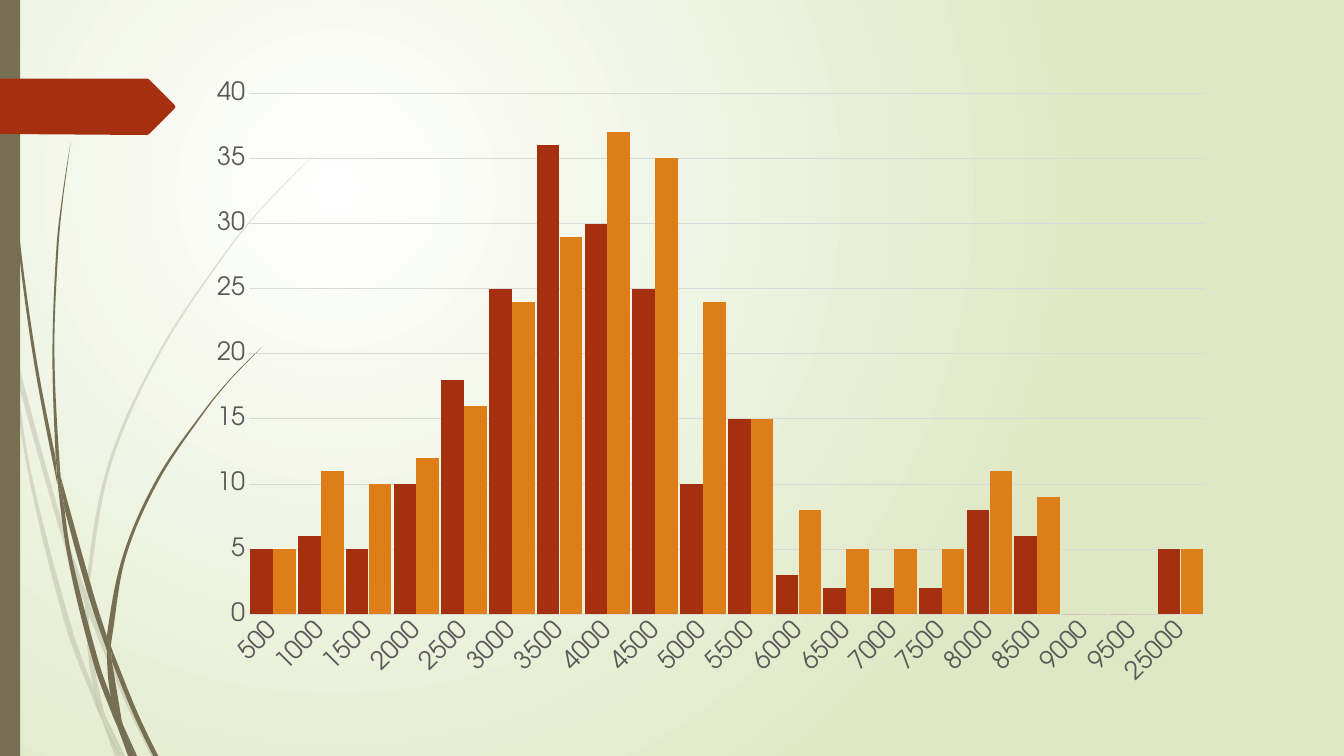
import math

import lxml.etree
import pptx
import pptx.chart.data
import pptx.dml.color
import pptx.enum.chart
import pptx.enum.shapes
import pptx.oxml.ns
import pptx.util

qn = pptx.oxml.ns.qn
rgb = pptx.dml.color.RGBColor.from_string
inches = pptx.util.Inches

THEME = {
    "centre": "FFFFFF",
    "edge": "DFE8C4",
    "stem": "766F54",
    "red": "A53010",
    "orange": "DE7E18",
    "grid": "D9D9D9",
    "label": "595959",
    "font": "TeX Gyre Adventor",
    "label_size": 18,
    "line_width": 0.75,
}
WIDTH, HEIGHT = 13.33, 7.5

# Each outline is a list of smooth edges; corners fall where one edge meets the next.
PALE_GRASS = [
    [[(0, 2.99), (0.1, 3.44), (0.11, 3.5)], [(0.09, 3.22), (0, 2.82)]],
    [[(0.17, 3.76), (0.58, 5.22), (0.84, 5.99)], [(0.85, 5.86), (0.62, 5.2), (0.14, 3.45)]],
    [[(0.88, 6.1), (1.23, 6.94), (1.5, HEIGHT)],
     [(1.55, HEIGHT), (1.27, 6.92), (0.92, 6.07), (0.88, 5.96)]],
    [[(1.05, 7.11), (1.19, HEIGHT)], [(1.24, HEIGHT)]],
    [[(0.11, 3.5), (0.28, 4.7), (0.65, 6.21), (0.92, 6.93), (1.01, 7.14)],
     [(0.93, 6.83), (0.7, 6.19), (0.31, 4.69), (0.17, 3.76)]],
    [[(0.84, 5.99), (0.87, 6.46), (0.93, 6.83), (1.05, 7.11)],
     [(1.03, 7.06), (0.91, 6.46), (0.88, 6.1)]],
    [[(3.12, 1.53), (2.68, 1.97), (2.28, 2.44), (1.58, 3.48), (1.07, 4.61), (0.85, 5.84)],
     [(0.88, 5.96), (0.88, 5.84), (1.1, 4.62), (1.6, 3.49), (2.29, 2.45), (2.68, 1.98)]],
    [[(1.01, 7.14), (1.14, HEIGHT)], [(1.19, HEIGHT)]],
    [[(0.85, 5.86), (0.84, 5.99)], [(0.88, 6.1), (0.88, 5.96)]],
    [[(0.93, 6.83), (1.01, 7.14), (1.19, HEIGHT)], [(1.05, 7.11), (0.96, 6.92)]],
]
DARK_GRASS = [
    [[(0.03, 0), (0.07, 1.1), (0.17, 2.33), (0.33, 3.55), (0.57, 4.81)],
     [(0.55, 4.53), (0.36, 3.55), (0.19, 2.32), (0.08, 1.09), (0.04, 0)]],
    [[(0.64, 5.05), (0.88, 5.92), (1.06, 6.45)], [(1.06, 6.31), (0.93, 5.9), (0.6, 4.72)]],
    [[(1.11, 6.56), (1.32, 7.08), (1.52, HEIGHT)],
     [(1.57, HEIGHT), (1.36, 7.06), (1.13, 6.49), (1.1, 6.41)]],
    [[(0.57, 4.77), (0.68, 5.57), (0.93, 6.59), (1.11, 7.08), (1.17, 7.22)],
     [(1.1, 6.91), (0.98, 6.57), (0.72, 5.56), (0.64, 5.05)]],
    [[(0.7, 1.41), (0.62, 1.93), (0.56, 2.45), (0.52, 3.49), (0.55, 4.49)],
     [(0.6, 4.72), (0.54, 3.49), (0.58, 2.45), (0.63, 1.93)]],
    [[(1.22, 7.19), (1.33, HEIGHT)], [(1.36, HEIGHT)]],
    [[(0.55, 4.49), (0.57, 4.77)], [(0.64, 5.05), (0.6, 4.72)]],
    [[(2.6, 3.44), (2.31, 3.73), (2.04, 4.05), (1.56, 4.74), (1.22, 5.51), (1.06, 6.31)],
     [(1.1, 6.41), (1.11, 6.33), (1.25, 5.52), (1.58, 4.76), (2.05, 4.06), (2.31, 3.74)]],
    [[(1.17, 7.22), (1.27, HEIGHT)], [(1.31, HEIGHT)]],
    [[(1.06, 6.45), (1.1, 6.91), (1.22, 7.19)], [(1.21, 7.16), (1.11, 6.56)]],
    [[(1.06, 6.31), (1.06, 6.45)], [(1.11, 6.56), (1.1, 6.41)]],
    [[(1.1, 6.91), (1.17, 7.22), (1.3, HEIGHT)], [(1.33, HEIGHT), (1.22, 7.19), (1.16, 7.06)]],
]
TAG = [[(0, 0.78)], [(1.46, 0.78)], [(1.48, 0.79)], [(1.73, 1.04), (1.74, 1.06), (1.73, 1.08)],
       [(1.48, 1.33)], [(1.46, 1.34)], [(0, 1.33)]]


def controls(edge):
    """Return two Bezier control points for each segment of a smooth edge."""
    lengths = [math.dist(a, b) for a, b in zip(edge, edge[1:])]
    chords = [[(b[k] - a[k]) / size for k in (0, 1)]
              for a, b, size in zip(edge, edge[1:], lengths)]
    slopes = [[(edge[i + 1][k] - edge[i - 1][k]) / (lengths[i - 1] + lengths[i]) for k in (0, 1)]
              for i in range(1, len(edge) - 1)]
    if slopes:
        first, last = [[1.5 * chord[k] - 0.5 * slope[k] for k in (0, 1)]
                       for chord, slope in ((chords[0], slopes[0]), (chords[-1], slopes[-1]))]
        slopes = [first] + slopes + [last]
    else:
        slopes = chords * 2
    return [([edge[i][k] + slopes[i][k] * size / 3 for k in (0, 1)],
             [edge[i + 1][k] - slopes[i + 1][k] * size / 3 for k in (0, 1)])
            for i, size in enumerate(lengths)]


def add_outline(page, edges, colour, opacity=100):
    corners = [[tuple(inches(value) for value in point) for point in edge] for edge in edges]
    points = sum(corners, [])
    builder = page.shapes.build_freeform(*points[0])
    builder.add_line_segments(points[1:], close=True)
    outline = builder.convert_to_shape()
    outline.fill.solid()
    outline.fill.fore_color.rgb = rgb(colour)
    outline.line.fill.background()
    outline.shadow.inherit = False
    bends = sum([[None] + controls(edge) for edge in edges], [])[1:]
    for segment, bend in zip(list(outline.element.iter(qn("a:lnTo"))), bends):
        if bend:
            segment.tag = qn("a:cubicBezTo")
            for place, (x, y) in enumerate(bend):
                handle = lxml.etree.Element(qn("a:pt"))
                handle.set("x", str(inches(x) - outline.left))
                handle.set("y", str(inches(y) - outline.top))
                segment.insert(place, handle)
    if opacity < 100:
        tint = outline.element.find(".//" + qn("a:srgbClr"))
        lxml.etree.SubElement(tint, qn("a:alpha")).set("val", str(opacity * 1000))


deck = pptx.Presentation()
deck.slide_width, deck.slide_height = inches(WIDTH), inches(HEIGHT)
page = deck.slides.add_slide(deck.slide_layouts[6])

# Background glow, centred a quarter of the way in from the top left
backdrop = page.background.fill
backdrop.gradient()
for stop, colour in zip(backdrop.gradient_stops, (THEME["centre"], THEME["edge"])):
    stop.color.rgb = rgb(colour)
direction = page.element.find(".//" + qn("a:lin"))
glow = lxml.etree.Element(qn("a:path"))
glow.set("path", "circle")
focus = lxml.etree.SubElement(glow, qn("a:fillToRect"))
for side, share in zip("ltrb", (50, 50, 100, 100)):
    focus.set(side, str(share * 1000))
direction.getparent().replace(direction, glow)

# Grass, side bar and tag
for grass, opacity in ((PALE_GRASS, 20), (DARK_GRASS, 100)):
    for blade in grass:
        add_outline(page, blade, THEME["stem"], opacity)
side_bar = page.shapes.add_shape(
    pptx.enum.shapes.MSO_SHAPE.RECTANGLE, 0, 0, inches(0.2), inches(HEIGHT))
side_bar.fill.solid()
side_bar.fill.fore_color.rgb = rgb(THEME["stem"])
side_bar.line.fill.background()
side_bar.shadow.inherit = False
add_outline(page, TAG, THEME["red"])

# Histogram
histogram = pptx.chart.data.CategoryChartData()
histogram.categories = [str(limit) for limit in range(500, 9501, 500)] + ["25000"]
histogram.add_series(
    "Series 1", [5, 6, 5, 10, 18, 25, 36, 30, 25, 10, 15, 3, 2, 2, 2, 8, 6, 0, 0, 5])
histogram.add_series(
    "Series 2", [5, 11, 10, 12, 16, 24, 29, 37, 35, 24, 15, 8, 5, 5, 5, 11, 9, 0, 0, 5])
chart = page.shapes.add_chart(
    pptx.enum.chart.XL_CHART_TYPE.COLUMN_CLUSTERED,
    inches(1.95), inches(0.68), inches(10.2), inches(6.24), histogram).chart
chart.has_legend = False
chart.has_title = False
chart.font.name = THEME["font"]

plot = chart.plots[0]
plot.gap_width = 10
plot.overlap = -1
plot.vary_by_categories = False
for series, colour in zip(plot.series, (THEME["red"], THEME["orange"])):
    series.format.fill.solid()
    series.format.fill.fore_color.rgb = rgb(colour)

limits, counts = chart.category_axis, chart.value_axis
for axis in (limits, counts):
    axis.major_tick_mark = axis.minor_tick_mark = pptx.enum.chart.XL_TICK_MARK.NONE
    font = axis.tick_labels.font
    font.name = THEME["font"]
    font.size = pptx.util.Pt(THEME["label_size"])
    font.color.rgb = rgb(THEME["label"])
limits.has_major_gridlines = False
limits._element.find(".//" + qn("a:bodyPr")).set("rot", str(-45 * 60000))
counts.minimum_scale, counts.maximum_scale, counts.major_unit = 0, 40, 5
counts.has_major_gridlines = True
counts.format.line.fill.background()
for line in (limits.format.line, counts.major_gridlines.format.line):
    line.color.rgb = rgb(THEME["grid"])
    line.width = pptx.util.Pt(THEME["line_width"])

deck.save("out.pptx")
